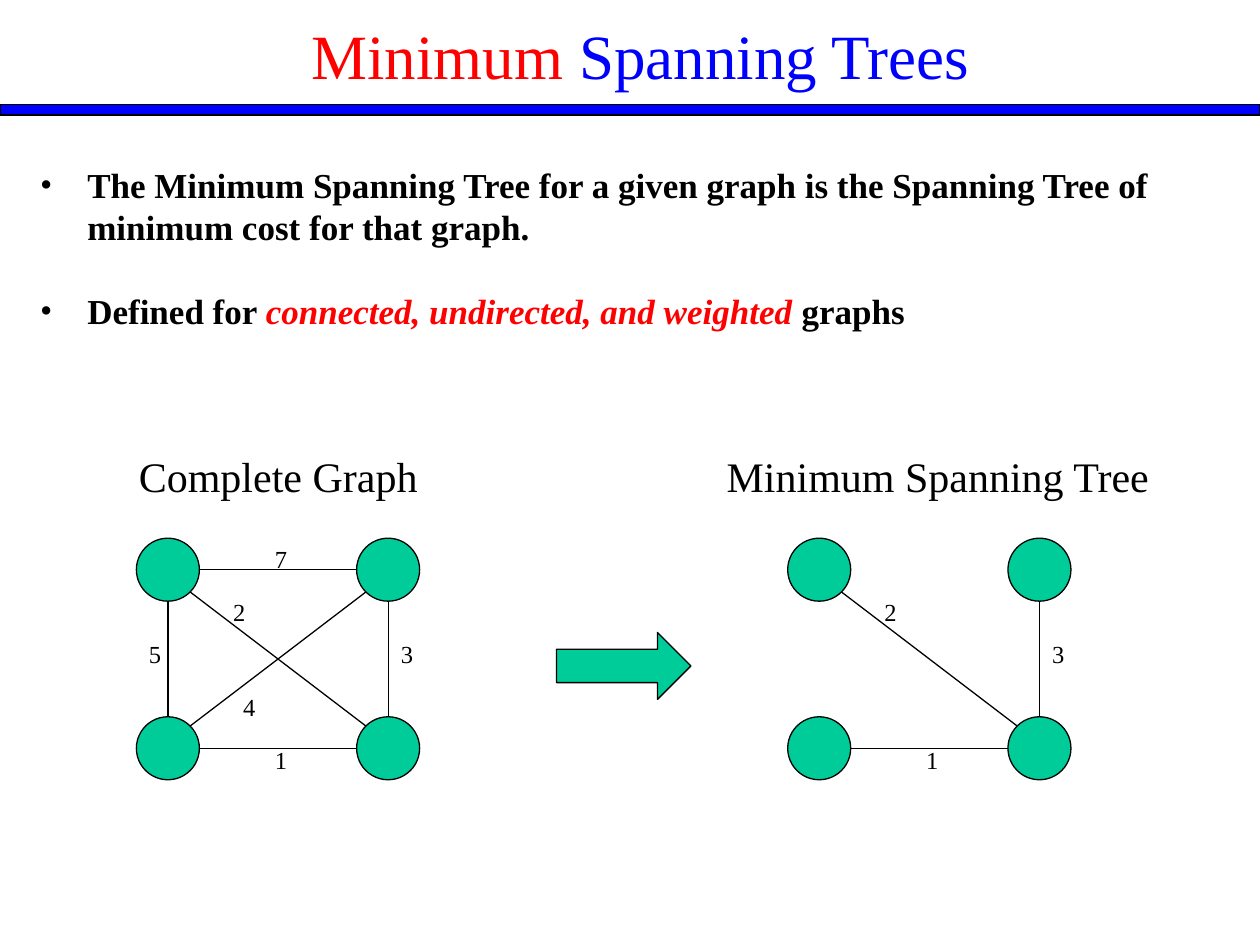
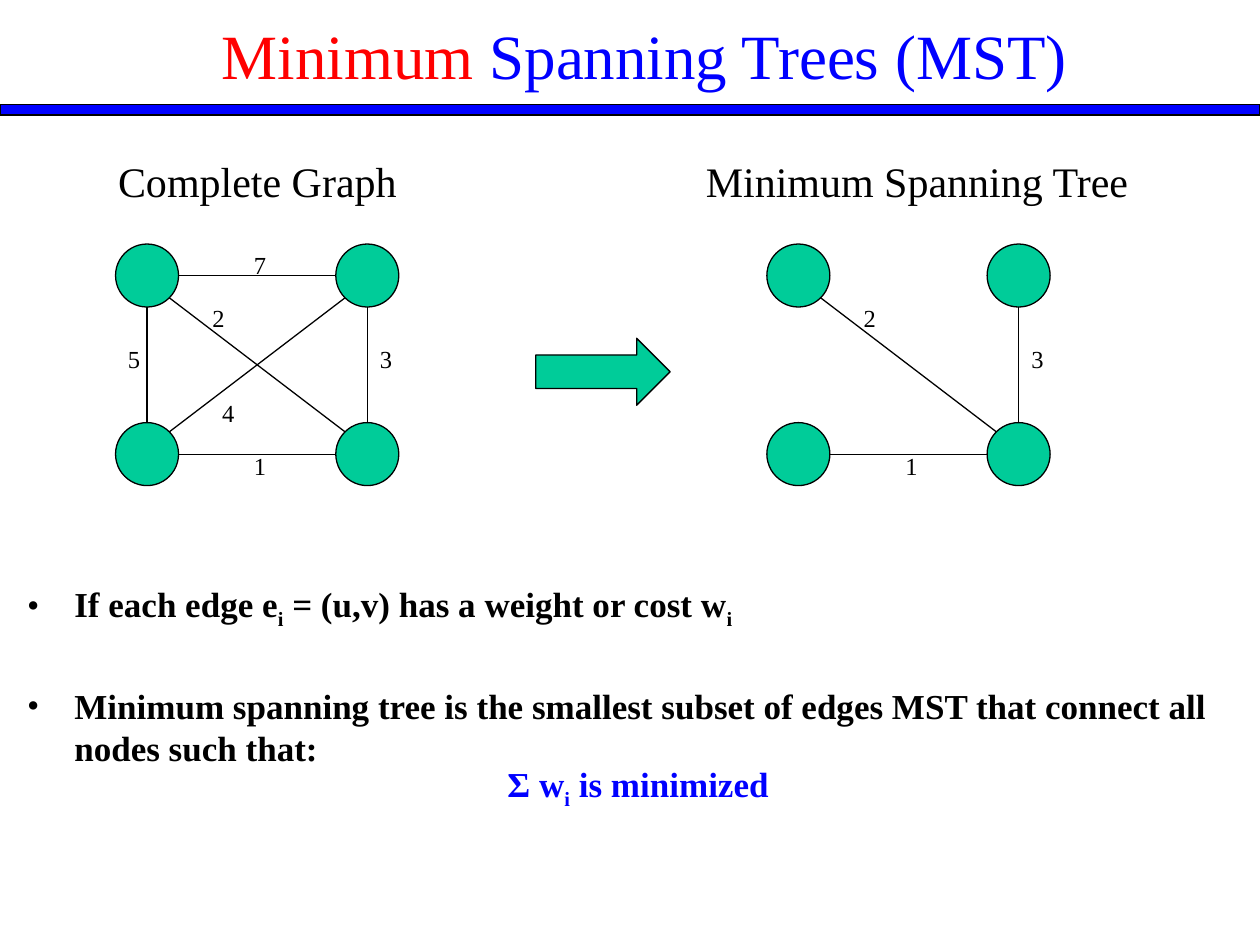
import math

import pptx
import pptx.dml.color
import pptx.enum.shapes
import pptx.enum.text
import pptx.oxml.ns
import pptx.util
from lxml import etree

Cm = pptx.util.Cm
Pt = pptx.util.Pt
RGBColor = pptx.dml.color.RGBColor
Shape = pptx.enum.shapes.MSO_SHAPE
qn = pptx.oxml.ns.qn

BLACK = RGBColor(0x00, 0x00, 0x00)
RED = RGBColor(0xFF, 0x00, 0x00)
BLUE = RGBColor(0x00, 0x00, 0xFF)
GREEN = RGBColor(0x00, 0xCC, 0x99)
FONT_NAME = "Times New Roman"

SLIDE_WIDTH, SLIDE_HEIGHT = 25.4, 19.05
NODE_SIZE = 1.27
COLUMN_PITCH, ROW_PITCH = 4.44, 3.6
TREE_OFFSET = 13.13
BULLET_INDENT = 0.95
FORMULA_INDENT = 9.68

EDGES = {
    7: ((0, 0), (1, 0), (2.54, 0)),
    5: ((0, 0), (0, 1), (0, 1.9)),
    1: ((0, 1), (1, 1), (2.54, 4.04)),
    3: ((1, 0), (1, 1), (5.08, 1.9)),
    4: ((1, 0), (0, 1), (1.9, 2.97)),
    2: ((0, 0), (1, 1), (1.7, 1.07)),
}
TREE_WEIGHTS = (1, 3, 2)


def apply_format(target, values):
    for name, value in values.items():
        setattr(target, name, value)


def add_run(paragraph, text, size, color=BLACK, subscript=False, **extra):
    run = paragraph.add_run()
    run.text = text
    apply_format(run.font, {"name": FONT_NAME, "size": Pt(size), **extra})
    run.font.color.rgb = color
    if subscript:
        run.font._element.set("baseline", "-25000")


def add_text_box(slide, left, top, width, height, wrap=True):
    text_box = slide.shapes.add_textbox(Cm(left), Cm(top), Cm(width), Cm(height))
    apply_format(text_box.text_frame, {
        "word_wrap": wrap,
        "auto_size": pptx.enum.text.MSO_AUTO_SIZE.SHAPE_TO_FIT_TEXT,
    })
    return text_box.text_frame


def add_label(slide, text, size, left, top, width, height):
    text_frame = add_text_box(slide, left, top, width, height, wrap=False)
    add_run(text_frame.paragraphs[0], text, size)


def outline(line):
    line.color.rgb = BLACK
    line.width = Pt(0.75)


def add_filled_shape(slide, kind, color, left, top, width, height):
    shape = slide.shapes.add_shape(kind, Cm(left), Cm(top), Cm(width), Cm(height))
    shape.shadow.inherit = False
    shape.fill.solid()
    shape.fill.fore_color.rgb = color
    outline(shape.line)


def add_edge(slide, left, top, start, end):
    centers = [(left + column * COLUMN_PITCH + NODE_SIZE / 2,
                top + row * ROW_PITCH + NODE_SIZE / 2) for column, row in (start, end)]
    step_x, step_y = end[0] - start[0], end[1] - start[1]
    reach = NODE_SIZE / 2 / math.hypot(step_x, step_y)
    points = [(x + sign * reach * step_x, y + sign * reach * step_y)
              for (x, y), sign in zip(centers, (1, -1))]
    connector = slide.shapes.add_connector(
        pptx.enum.shapes.MSO_CONNECTOR.STRAIGHT,
        *[Cm(value) for point in points for value in point])
    outline(connector.line)
    etree.SubElement(connector._element.spPr, qn("a:effectLst"))


def add_graph(slide, left, top, weights):
    for row in range(2):
        for column in range(2):
            add_filled_shape(slide, Shape.OVAL, GREEN, left + column * COLUMN_PITCH,
                             top + row * ROW_PITCH, NODE_SIZE, NODE_SIZE)
    for weight in weights:
        start, end, (label_x, label_y) = EDGES[weight]
        add_edge(slide, left, top, start, end)
        add_label(slide, str(weight), 14, left + label_x, top + label_y, 0.76, 0.84)


def add_graph_comparison(slide, left, top):
    tree_left = left + TREE_OFFSET
    add_graph(slide, left, top, EDGES)
    add_graph(slide, tree_left, top, TREE_WEIGHTS)
    add_filled_shape(slide, Shape.RIGHT_ARROW, GREEN, left + 8.47, top + 1.9, 2.71, 1.35)
    add_label(slide, "Complete Graph", 24, left - 0.2, top - 1.9, 6.12, 1.27)
    add_label(slide, "Minimum Spanning Tree", 24, tree_left - 1.48, top - 1.9, 9.07, 1.27)


def add_heading(slide, text, left, width):
    add_filled_shape(slide, Shape.RECTANGLE, BLUE, 0, 2.11, SLIDE_WIDTH, 0.21)
    title = slide.shapes.title
    apply_format(title, {"left": Cm(left), "top": Cm(0.2),
                         "width": Cm(width), "height": Cm(1.78)})
    apply_format(title.text_frame, {
        "word_wrap": True,
        "auto_size": pptx.enum.text.MSO_AUTO_SIZE.NONE,
        "vertical_anchor": pptx.enum.text.MSO_ANCHOR.TOP,
    })
    paragraph = title.text_frame.paragraphs[0]
    paragraph.alignment = pptx.enum.text.PP_ALIGN.CENTER
    add_run(paragraph, "Minimum", 36, RED)
    add_run(paragraph, text, 36, BLUE)


def indent_paragraph(paragraph, margin, bullet):
    properties = paragraph._p.get_or_add_pPr()
    properties.set("marL", str(Cm(margin)))
    properties.set("indent", str(-Cm(margin) if bullet else 0))
    if bullet:
        etree.SubElement(properties, qn("a:buFont")).set("typeface", FONT_NAME)
        etree.SubElement(properties, qn("a:buChar")).set("char", "•")


def add_statements(slide, left, top, height, statements):
    text_frame = add_text_box(slide, left, top, 24.84, height)
    for index, (margin, bullet, space_before, runs) in enumerate(statements):
        paragraph = text_frame.add_paragraph() if index else text_frame.paragraphs[0]
        indent_paragraph(paragraph, margin, bullet)
        apply_format(paragraph, {"line_spacing": Pt(24), "space_before": Pt(space_before)})
        for text, values in runs:
            add_run(paragraph, text, 20, bold=True, **values)


def build_definition_slide(slide):
    add_heading(slide, " Spanning Trees", 5.5, 14.82)
    add_statements(slide, 0.56, 3.18, 3.68, [
        (BULLET_INDENT, True, 0, [
            ("The Minimum Spanning Tree for a given graph is the Spanning Tree of "
             "minimum cost for that graph.", {})]),
        (BULLET_INDENT, True, 24, [
            ("Defined for ", {}),
            ("connected, undirected, and weighted ", {"color": RED, "italic": True}),
            ("graphs", {})]),
    ])
    add_graph_comparison(slide, 2.75, 10.85)


def build_cost_slide(slide):
    subscript = {"subscript": True}
    add_heading(slide, " Spanning Trees (MST)", 3.89, 18.2)
    add_statements(slide, 0.3, 11.73, 4.24, [
        (BULLET_INDENT, True, 0, [
            ("If each edge e", {}), ("i", subscript),
            (" = (u,v) has a weight or cost w", {}), ("i", subscript)]),
        (BULLET_INDENT, True, 31, [
            ("Minimum spanning tree is the smallest subset of edges MST that connect "
             "all nodes such that:", {})]),
        (FORMULA_INDENT, False, 0, [
            ("Σ w", {"color": BLUE}), ("i", {"color": BLUE, **subscript}),
            (" is minimized", {"color": BLUE})]),
    ])
    add_graph_comparison(slide, 2.33, 4.92)


def main():
    presentation = pptx.Presentation()
    apply_format(presentation, {"slide_width": Cm(SLIDE_WIDTH),
                                "slide_height": Cm(SLIDE_HEIGHT)})
    for build_slide in (build_definition_slide, build_cost_slide):
        build_slide(presentation.slides.add_slide(presentation.slide_layouts[5]))
    presentation.save("out.pptx")


if __name__ == "__main__":
    main()
